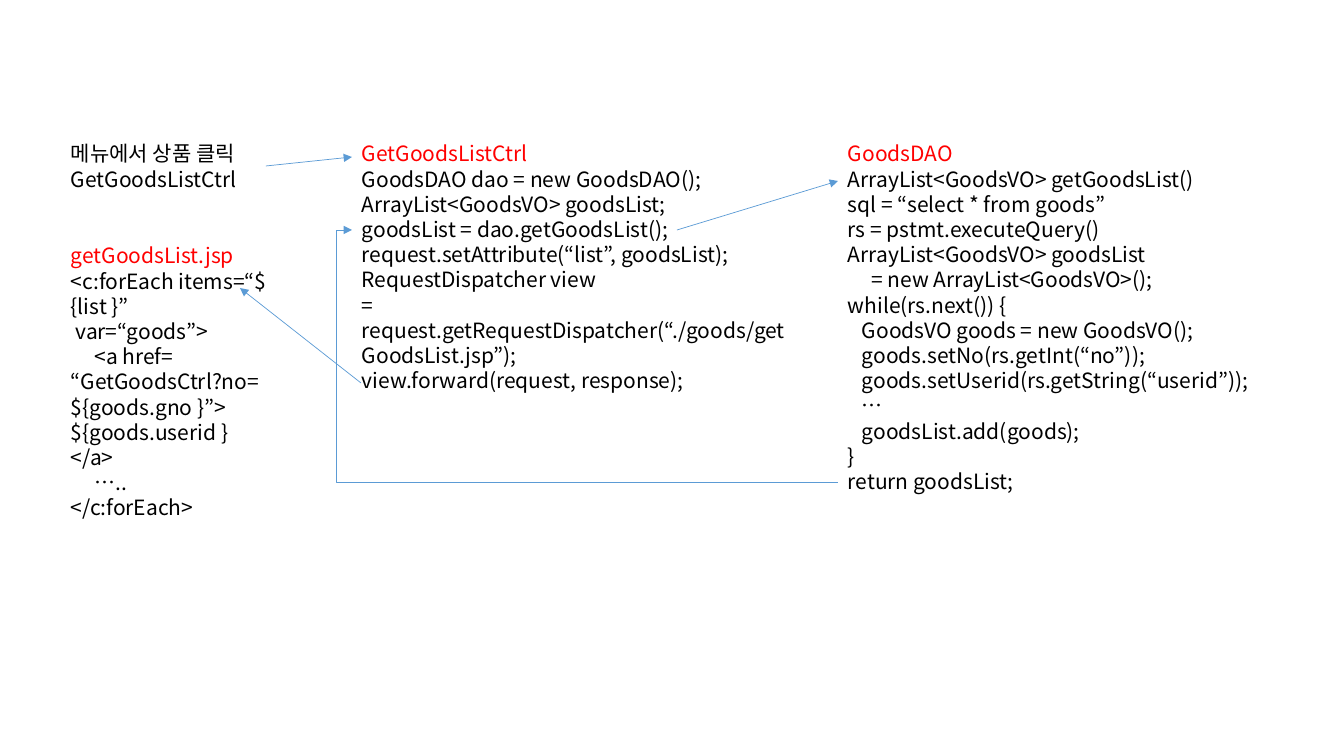
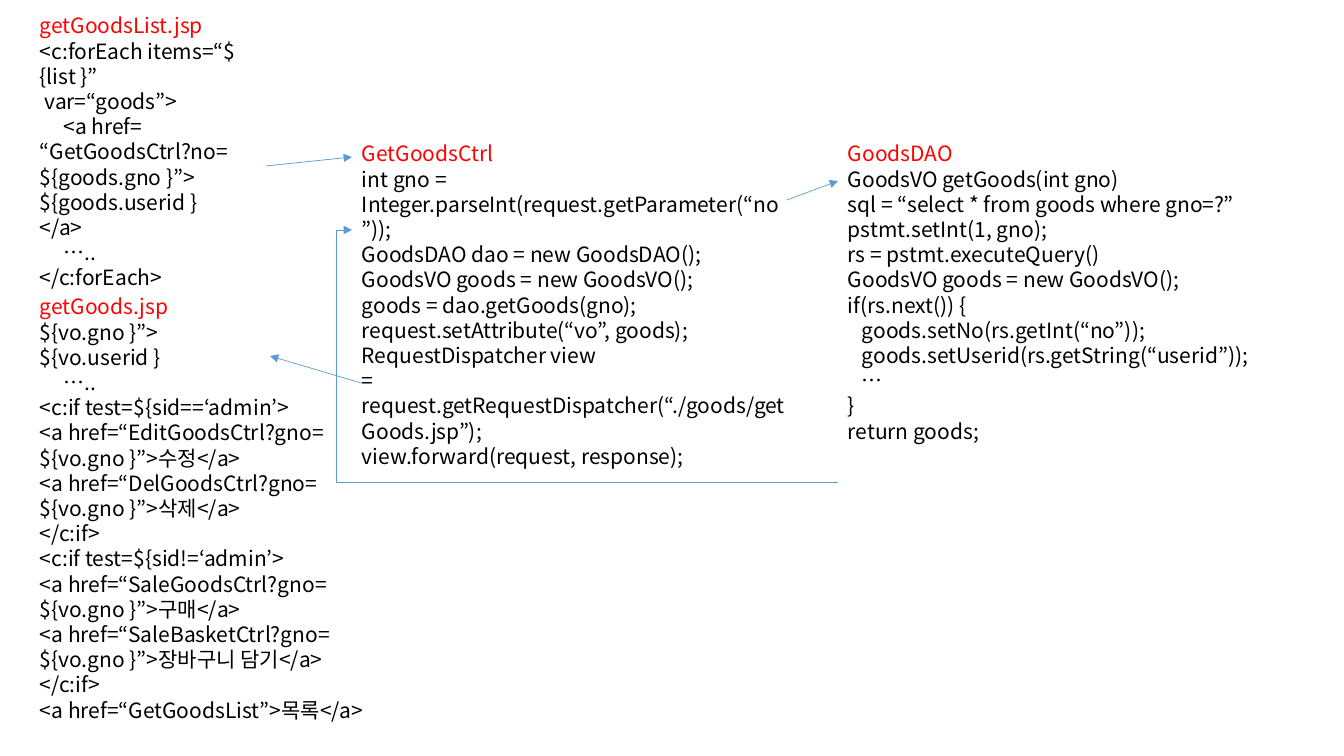
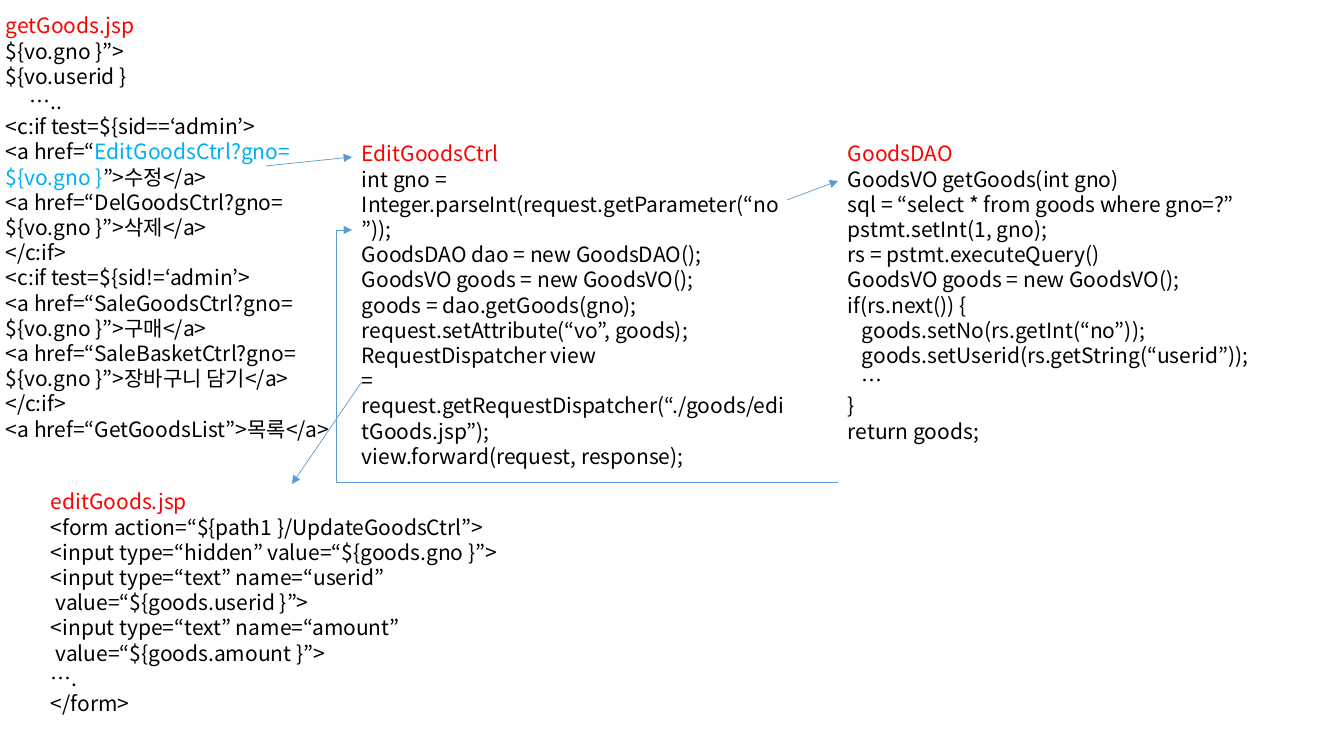
"""Build three slides that trace goods pages through controller and DAO code."""
import pptx
import pptx.dml.color
import pptx.enum.lang
import pptx.enum.shapes
import pptx.enum.text
import pptx.oxml.ns
import pptx.util
import lxml.etree

FONT = "Noto Sans CJK KR"
RED, BLACK, SKY, BLUE = "FF0000", "000000", "00B0F0", "5B9BD5"
PX = 914400 / 100.8
WIDE, HIGH = 1344, 756
SPACE = 4.7

MENU = ["메뉴에서 상품 클릭", "GetGoodsListCtrl"]
LIST = ["getGoodsList.jsp", "<c:forEach items=“${list }”", " var=“goods”>",
        "     <a href=", "“GetGoodsCtrl?no=", "${goods.gno }”>",
        "${goods.userid }", "</a>", "     …..", "</c:forEach>"]
VIEW = ["getGoods.jsp", "${vo.gno }”>", "${vo.userid }", "     …..",
        "<c:if test=${sid==‘admin’>",
        "<a href=“EditGoodsCtrl?gno=", "${vo.gno }”>수정</a>",
        "<a href=“DelGoodsCtrl?gno=", "${vo.gno }”>삭제</a>", "</c:if>",
        "<c:if test=${sid!=‘admin’>",
        "<a href=“SaleGoodsCtrl?gno=", "${vo.gno }”>구매</a>",
        "<a href=“SaleBasketCtrl?gno=", "${vo.gno }”>장바구니 담기</a>",
        "</c:if>", "<a href=“GetGoodsList”>목록</a>"]
MARKED = ["<a href=“|EditGoodsCtrl?gno=", "|${vo.gno }|”>수정</a>"]
EDIT = ["editGoods.jsp", "<form action=“${path1 }/UpdateGoodsCtrl”>",
        "<input type=“hidden” value=“${goods.gno }”>",
        "<input type=“text” name=“userid”", " value=“${goods.userid }”>",
        "<input type=“text” name=“amount”", " value=“${goods.amount }”>",
        "….", "</form>"]
LIST_DAO = ["GoodsDAO", "ArrayList<GoodsVO> getGoodsList()",
            "sql = “select * from goods”", "rs = pstmt.executeQuery()",
            "ArrayList<GoodsVO> goodsList", "     = new ArrayList<GoodsVO>();",
            "while(rs.next()) {", "   GoodsVO goods = new GoodsVO();",
            "   goods.setNo(rs.getInt(“no”));",
            "   goods.setUserid(rs.getString(“userid”));", "   …",
            "   goodsList.add(goods);", "}", "return goodsList;"]
ITEM_DAO = ["GoodsDAO", "GoodsVO getGoods(int gno)",
            "sql = “select * from goods where gno=?”", "pstmt.setInt(1, gno);",
            "rs = pstmt.executeQuery()", "GoodsVO goods = new GoodsVO();",
            "if(rs.next()) {", "   goods.setNo(rs.getInt(“no”));",
            "   goods.setUserid(rs.getString(“userid”));", "   …", "}",
            "return goods;"]
LIST_BODY = ["GoodsDAO dao = new GoodsDAO();", "ArrayList<GoodsVO> goodsList;",
             "goodsList = dao.getGoodsList();",
             "request.setAttribute(“list”, goodsList);"]
ITEM_BODY = ["int gno = Integer.parseInt(request.getParameter(“no”));",
             "GoodsDAO dao = new GoodsDAO();", "GoodsVO goods = new GoodsVO();",
             "goods = dao.getGoods(gno);", "request.setAttribute(“vo”, goods);"]


def ctrl(name, body, page):
    """Return the lines of a controller that forwards to a page."""
    return [name, *body, "RequestDispatcher view",
            f"= request.getRequestDispatcher(“./goods/{page}”);",
            "view.forward(request, response);"]


MID, RIGHT = (352, 136, 444, 265), (838, 136, 444, 315)
ENTER = (266, 166, 352, 157)
BACK, BEND = (838, 482, 352, 230), 336
CALL = (787, 200, 838, 181)
SLIDES = [
    {"texts": [((61, 136, 205, 61), MENU, BLACK),
               (MID, ctrl("GetGoodsListCtrl", LIST_BODY, "getGoodsList.jsp"), RED),
               (RIGHT, LIST_DAO, RED),
               ((61, 238, 270, 265), LIST, RED)],
     "arrows": [(677, 230, 838, 181), (361, 383, 240, 288)]},
    {"texts": [(MID, ctrl("GetGoodsCtrl", ITEM_BODY, "getGoods.jsp"), RED),
               (RIGHT, ITEM_DAO, RED),
               ((30, 8, 270, 265), LIST, RED),
               ((30, 289, 356, 443), VIEW, RED)],
     "arrows": [CALL, (361, 383, 270, 356)]},
    {"texts": [(MID, ctrl("EditGoodsCtrl", ITEM_BODY, "editGoods.jsp"), RED),
               (RIGHT, ITEM_DAO, RED),
               ((41, 484, 469, 239), EDIT, RED),
               ((-4, 8, 356, 443), VIEW[:5] + MARKED + VIEW[7:], RED)],
     "arrows": [CALL, (361, 383, 292, 484)]},
]


def emu(*nums):
    """Turn pixels into EMU."""
    return [round(n * PX) for n in nums]


def rgb(code):
    """Turn a hex string into a colour."""
    return pptx.dml.color.RGBColor.from_string(code)


def add(node, tag, **attrs):
    """Append an XML child with attributes."""
    return lxml.etree.SubElement(node, pptx.oxml.ns.qn(tag), attrs)


def write(par, text, tone):
    """Write one line, its indent and its marked parts."""
    code = text.lstrip()
    left = emu((len(text) - len(code)) * SPACE)[0]
    if left:
        par._p.get_or_add_pPr().set("marL", str(left))
    form = {"size": pptx.util.Pt(15), "name": FONT,
            "language_id": pptx.enum.lang.MSO_LANGUAGE_ID.ENGLISH_US}
    for i, part in enumerate(code.split("|")):
        if part:
            run = par.add_run()
            run.text = part
            for key, val in form.items():
                setattr(run.font, key, val)
            run.font.color.rgb = rgb(SKY if i % 2 else tone)
            add(run.font._element, "a:ea", typeface=FONT)


def block(slide, box, lines, tone):
    """Add a text box whose first line has its own colour."""
    frame = slide.shapes.add_textbox(*emu(*box)).text_frame
    form = {"word_wrap": True,
            "auto_size": pptx.enum.text.MSO_AUTO_SIZE.SHAPE_TO_FIT_TEXT}
    for key, val in form.items():
        setattr(frame, key, val)
    for i, line in enumerate(lines):
        par = frame.add_paragraph() if i else frame.paragraphs[0]
        write(par, line, BLACK if i else tone)


def arrow(slide, ends, kind="STRAIGHT"):
    """Add a thin arrow between two points."""
    kinds = pptx.enum.shapes.MSO_CONNECTOR
    link = slide.shapes.add_connector(getattr(kinds, kind), *emu(*ends))
    link.line.color.rgb = rgb(BLUE)
    link.line.width = pptx.util.Pt(0.5)
    add(link.line._get_or_add_ln(), "a:tailEnd", type="triangle")
    add(link._element.spPr, "a:effectLst")
    return link


def detour(slide, ends, bend):
    """Add an elbow arrow whose upright part stands at the bend."""
    geom = arrow(slide, ends, "ELBOW")._element.spPr.prstGeom
    share = round((ends[0] - bend) / (ends[0] - ends[2]) * 100000)
    add(geom.get_or_add_avLst(), "a:gd", name="adj1", fmla=f"val {share}")


deck = pptx.Presentation()
deck.slide_width, deck.slide_height = emu(WIDE, HIGH)
for page in SLIDES:
    slide = deck.slides.add_slide(deck.slide_layouts[6])
    for box, lines, tone in page["texts"]:
        block(slide, box, lines, tone)
    for ends in [ENTER, *page["arrows"]]:
        arrow(slide, ends)
    detour(slide, BACK, BEND)
deck.save("out.pptx")
